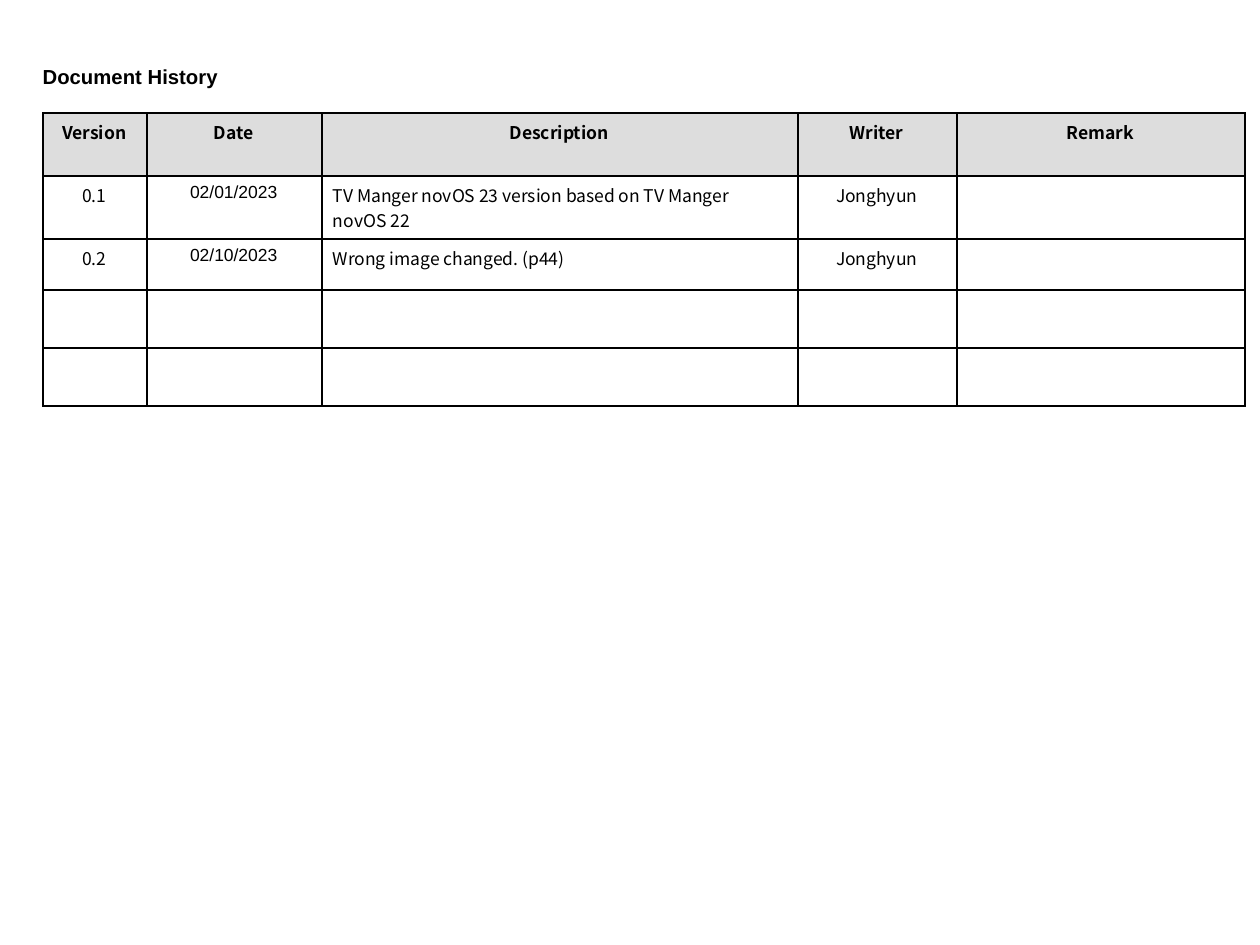
from dataclasses import dataclass

from lxml import etree
from pptx import Presentation
from pptx.dml.color import RGBColor
from pptx.enum.text import MSO_ANCHOR, MSO_AUTO_SIZE, PP_ALIGN
from pptx.oxml.ns import qn
from pptx.util import Emu, Pt

LEFT, CENTER = PP_ALIGN.LEFT, PP_ALIGN.CENTER
BLACK = RGBColor(0x00, 0x00, 0x00)
WHITE = RGBColor(0xFF, 0xFF, 0xFF)
HEADER_GRAY = RGBColor(0xDD, 0xDD, 0xDD)
SANS, CJK = "Arial", "Noto Sans CJK KR"
PIXELS_PER_INCH = 126
BORDER_WIDTH = Pt(1)


@dataclass(frozen=True)
class Column:
    heading: str
    width: int
    font_name: str = CJK
    alignment: PP_ALIGN = CENTER


COLUMNS = [
    Column("Version", 104),
    Column("Date", 175, font_name=SANS),
    Column("Description", 476, alignment=LEFT),
    Column("Writer", 159),
    Column("Remark", 288),
]
ROW_HEIGHTS = [63, 63, 51, 58, 58]
ENTRIES = [
    ["0.1", "02/01/2023", "TV Manger novOS 23 version based on TV Manger novOS 22", "Jonghyun", ""],
    ["0.2", "02/10/2023", "Wrong image changed. (p44)", "Jonghyun", ""],
    [""] * len(COLUMNS),
    [""] * len(COLUMNS),
]


def px(length: int) -> Emu:
    return Emu(round(length * 914400 / PIXELS_PER_INCH))


def apply_format(target, values: dict) -> None:
    for name, value in values.items():
        setattr(target, name, value)


def format_paragraph(paragraph, alignment: PP_ALIGN, font_values: dict) -> None:
    paragraph.alignment = alignment
    apply_format(paragraph.font, font_values)
    paragraph.font.color.rgb = BLACK


def add_borders(cell) -> None:
    properties = cell._tc.get_or_add_tcPr()
    for index, side in enumerate(("a:lnL", "a:lnR", "a:lnT", "a:lnB")):
        line = etree.Element(qn(side), w=str(BORDER_WIDTH))
        fill = etree.SubElement(line, qn("a:solidFill"))
        etree.SubElement(fill, qn("a:srgbClr"), val=str(BLACK))
        properties.insert(index, line)


def fill_cell(cell, text: str, column: Column, is_header: bool) -> None:
    cell.fill.solid()
    cell.fill.fore_color.rgb = HEADER_GRAY if is_header else WHITE
    add_borders(cell)
    cell.margin_left = px(11)
    cell.text = text
    format_paragraph(
        cell.text_frame.paragraphs[0],
        CENTER if is_header else column.alignment,
        {"name": CJK if is_header else column.font_name, "size": Pt(10), "bold": is_header},
    )


def add_title(slide, text: str) -> None:
    title = slide.shapes.title
    apply_format(title, {"left": px(30), "top": px(40), "width": px(544), "height": px(50)})
    title.text = text
    apply_format(title.text_frame, {
        "word_wrap": True,
        "auto_size": MSO_AUTO_SIZE.NONE,
        "vertical_anchor": MSO_ANCHOR.BOTTOM,
        "margin_bottom": px(1),
    })
    paragraph = title.text_frame.paragraphs[0]
    paragraph.line_spacing = 0.85
    format_paragraph(paragraph, LEFT, {"name": SANS, "size": Pt(11.6), "bold": True})


def add_history_table(slide) -> None:
    total_width = sum(column.width for column in COLUMNS)
    table = slide.shapes.add_table(
        len(ROW_HEIGHTS), len(COLUMNS), px(43), px(113), px(total_width), px(sum(ROW_HEIGHTS))
    ).table
    apply_format(table, {"first_row": False, "horz_banding": False})
    for table_column, column in zip(table.columns, COLUMNS):
        table_column.width = px(column.width)
    for table_row, height in zip(table.rows, ROW_HEIGHTS):
        table_row.height = px(height)
    headings = [column.heading for column in COLUMNS]
    for row_index, texts in enumerate([headings, *ENTRIES]):
        for column_index, (text, column) in enumerate(zip(texts, COLUMNS)):
            fill_cell(table.cell(row_index, column_index), text, column, row_index == 0)


def main() -> None:
    presentation = Presentation()
    presentation.slide_width, presentation.slide_height = px(1260), px(945)
    slide = presentation.slides.add_slide(presentation.slide_layouts[5])
    # Version table, then the heading above it
    add_history_table(slide)
    add_title(slide, "Document History")
    presentation.save("out.pptx")


if __name__ == "__main__":
    main()
